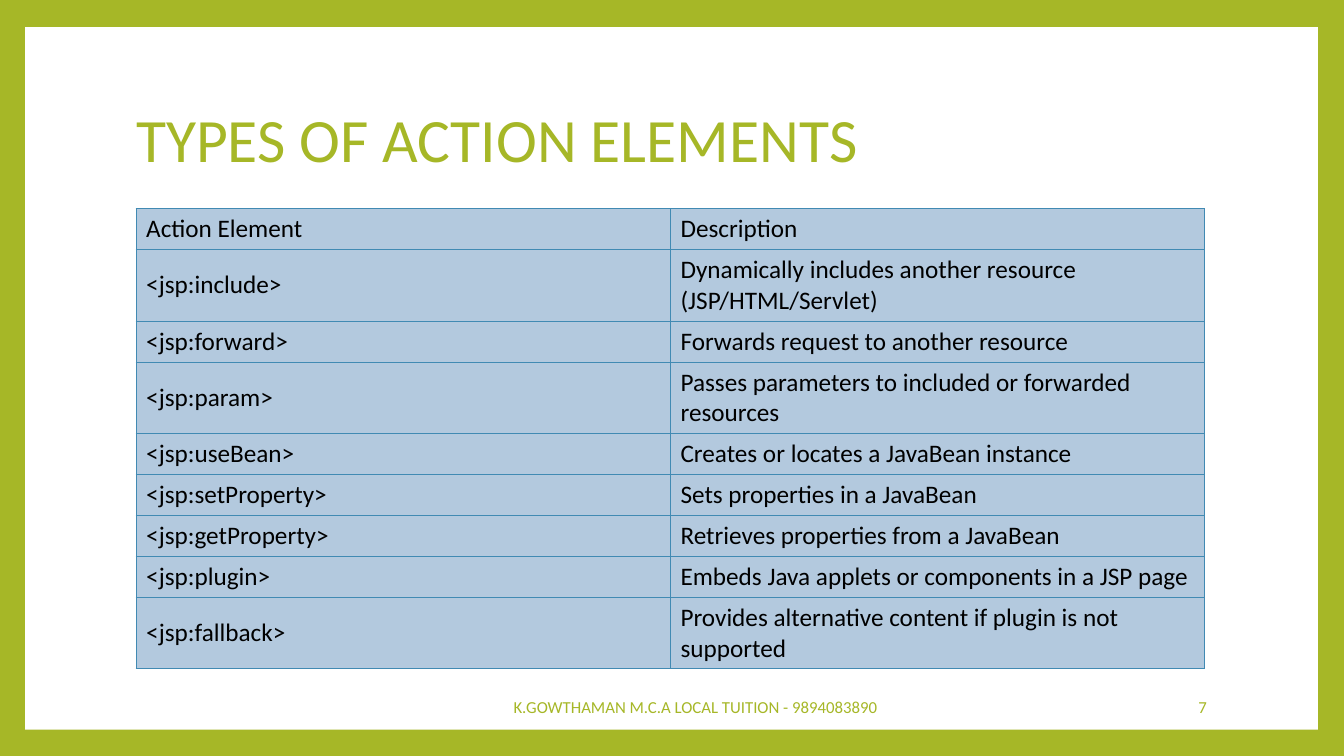
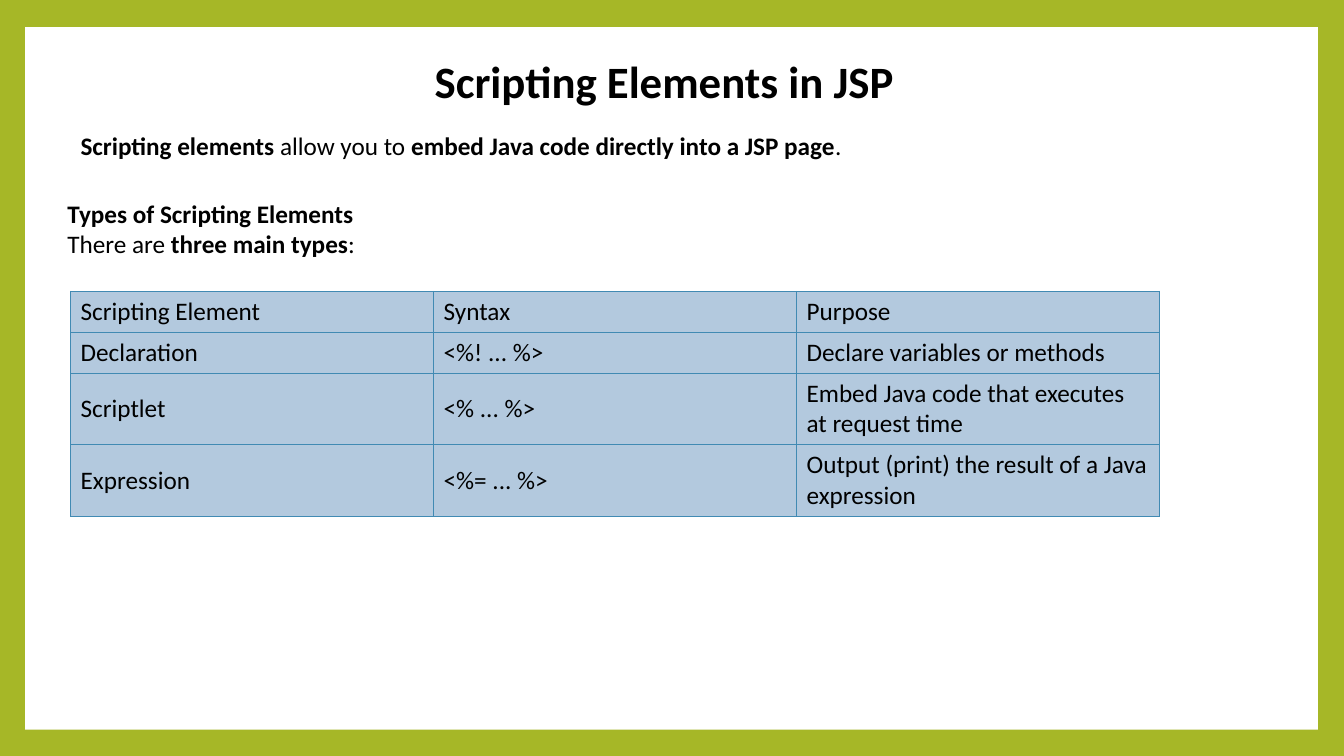
from pptx import Presentation
from pptx.dml.color import RGBColor
from pptx.enum.shapes import MSO_SHAPE
from pptx.enum.text import MSO_ANCHOR, MSO_AUTO_SIZE, PP_ALIGN
from pptx.oxml import parse_xml
from pptx.oxml.ns import nsdecls
from pptx.util import Inches, Pt

COLORS = {
    "green": "A6B727",
    "white": "FFFFFF",
    "black": "000000",
    "cell": "B3C9DE",
    "border": "418AB3",
}
FONT = "Calibri"


def write_text(shape, box, paragraphs, size, color, align=PP_ALIGN.LEFT, anchor=MSO_ANCHOR.TOP):
    shape.left, shape.top, shape.width, shape.height = [Inches(value) for value in box]
    text_frame = shape.text_frame
    text_frame.word_wrap = True
    text_frame.auto_size = MSO_AUTO_SIZE.NONE
    text_frame.vertical_anchor = anchor
    for index, parts in enumerate(paragraphs):
        paragraph = text_frame.add_paragraph() if index else text_frame.paragraphs[0]
        paragraph.alignment = align
        for text, bold in parts:
            run = paragraph.add_run()
            run.text = text
            run.font.name = FONT
            run.font.size = Pt(size)
            run.font.bold = bold
            run.font.color.rgb = RGBColor.from_string(COLORS[color])


def add_grid(slide, left, top, column_width, rows, tall_rows):
    heights = [0.7 if index in tall_rows else 0.4 for index in range(len(rows))]
    columns = len(rows[0])
    table = slide.shapes.add_table(
        len(rows), columns, Inches(left), Inches(top),
        Inches(column_width * columns), Inches(sum(heights)),
    ).table
    table.first_row = False
    table.horz_banding = False
    for column in table.columns:
        column.width = Inches(column_width)
    for row, height, texts in zip(table.rows, heights, rows):
        row.height = Inches(height)
        for cell, text in zip(row.cells, texts):
            cell.text_frame.text = text
            cell.vertical_anchor = MSO_ANCHOR.MIDDLE
            font = cell.text_frame.paragraphs[0].runs[0].font
            font.name = FONT
            font.size = Pt(18)
            font.bold = False
            font.color.rgb = RGBColor.from_string(COLORS["black"])
            properties = cell._tc.get_or_add_tcPr()
            for side in ("lnL", "lnR", "lnT", "lnB"):
                properties.append(parse_xml(
                    f'<a:{side} {nsdecls("a")} w="{Pt(0.79)}"><a:solidFill>'
                    f'<a:srgbClr val="{COLORS["border"]}"/></a:solidFill></a:{side}>'
                ))
            cell.fill.solid()
            cell.fill.fore_color.rgb = RGBColor.from_string(COLORS["cell"])


presentation = Presentation()
presentation.slide_width = Inches(13.33)
presentation.slide_height = Inches(7.5)
background = presentation.slide_master.background.fill
background.solid()
background.fore_color.rgb = RGBColor.from_string(COLORS["green"])
layout = presentation.slide_layouts[5]

actions_slide = presentation.slides.add_slide(layout)
panel = actions_slide.shapes.add_shape(
    MSO_SHAPE.RECTANGLE, Inches(0.25), Inches(0.27), Inches(12.82), Inches(6.97)
)
panel.shadow.inherit = False
panel.fill.solid()
panel.fill.fore_color.rgb = RGBColor.from_string(COLORS["white"])
panel.line.fill.background()
layout.shapes._spTree.insert(2, panel._element)

title = actions_slide.shapes.title
write_text(title, (1.25, 0.67, 10.8, 1.48), [[("TYPES OF ACTION ELEMENTS", False)]],
           44, "green", anchor=MSO_ANCHOR.MIDDLE)
title.text_frame.paragraphs[0].line_spacing = 0.9

footers = [
    ((4.32, 6.81, 5.16, 0.4), "K.GOWTHAMAN M.C.A LOCAL TUITION - 9894083890", PP_ALIGN.CENTER),
    ((10.2, 6.81, 1.87, 0.4), "7", PP_ALIGN.RIGHT),
]
for box, text, align in footers:
    footer = actions_slide.shapes.add_textbox(0, 0, 0, 0)
    write_text(footer, box, [[(text, False)]], 12, "green", align, MSO_ANCHOR.MIDDLE)

action_rows = [
    ("Action Element", "Description"),
    ("<jsp:include>", "Dynamically includes another resource (JSP/HTML/Servlet)"),
    ("<jsp:forward>", "Forwards request to another resource"),
    ("<jsp:param>", "Passes parameters to included or forwarded resources"),
    ("<jsp:useBean>", "Creates or locates a JavaBean instance"),
    ("<jsp:setProperty>", "Sets properties in a JavaBean"),
    ("<jsp:getProperty>", "Retrieves properties from a JavaBean"),
    ("<jsp:plugin>", "Embeds Java applets or components in a JSP page"),
    ("<jsp:fallback>", "Provides alternative content if plugin is not supported"),
]
add_grid(actions_slide, 1.35, 2.07, 5.3, action_rows, (1, 3, 8))

scripting_slide = presentation.slides.add_slide(layout)
write_text(scripting_slide.shapes.title, (4.03, 0.48, 5.12, 0.64),
           [[("Scripting Elements in JSP", True)]], 32, "black", PP_ALIGN.CENTER)

introduction = scripting_slide.shapes.add_textbox(0, 0, 0, 0)
write_text(introduction, (0.7, 1.24, 11.68, 0.4), [[
    ("Scripting elements", True),
    (" allow you to ", False),
    ("embed Java code directly into a JSP page", True),
    (".", False),
]], 18, "black")

scripting_rows = [
    ("Scripting Element", "Syntax", "Purpose"),
    ("Declaration", "<%! ... %>", "Declare variables or methods"),
    ("Scriptlet", "<% ... %>", "Embed Java code that executes at request time"),
    ("Expression", "<%= ... %>", "Output (print) the result of a Java expression"),
]
add_grid(scripting_slide, 0.7, 2.89, 3.6, scripting_rows, (2, 3))

types_heading = scripting_slide.shapes.add_textbox(0, 0, 0, 0)
write_text(types_heading, (0.57, 1.92, 6.67, 0.71), [
    [("Types of Scripting Elements", True)],
    [("There are ", False), ("three main types", True), (":", False)],
], 18, "black")

presentation.save("out.pptx")
